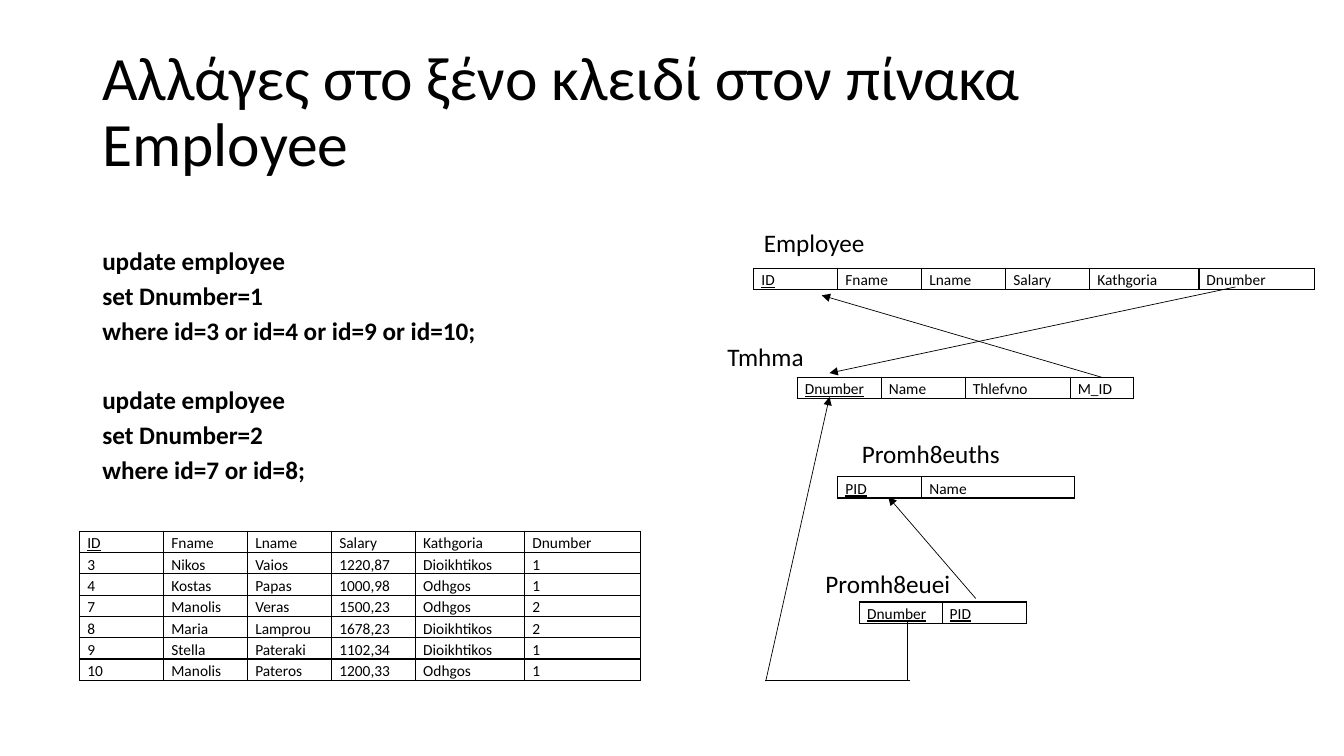
import pptx
import pptx.dml.color
import pptx.enum.shapes
import pptx.enum.text
import pptx.oxml
import pptx.oxml.ns
import pptx.util

Pt = pptx.util.Pt
FONT = "Calibri"
INK = "000000"
FIELDS = ["ID", "Fname", "Lname", "Salary", "Kathgoria", "Dnumber"]
WIDTHS = [60, 60, 60, 60, 78, 82.5]
STAFF = [
    ["3", "Nikos", "Vaios", "1220,87", "Dioikhtikos", "1"],
    ["4", "Kostas", "Papas", "1000,98", "Odhgos", "1"],
    ["7", "Manolis", "Veras", "1500,23", "Odhgos", "2"],
    ["8", "Maria", "Lamprou", "1678,23", "Dioikhtikos", "2"],
    ["9", "Stella", "Pateraki", "1102,34", "Dioikhtikos", "1"],
    ["10", "Manolis", "Pateros", "1200,33", "Odhgos", "1"],
]
CODE = [
    ["update employee", "set Dnumber=1", "where id=3 or id=4 or id=9 or id=10;"],
    ["update employee", "set Dnumber=2", "where id=7 or id=8;"],
]
# name, label place, label width, table place, widths, fields, number of key fields
SCHEMA = [
    ("Employee", (26.5, 0.5), 88, (26.5, 33.5), WIDTHS, FIELDS, 1),
    ("Tmhma", (0.5, 82.5), 71, (57.5, 111.5), [60, 60, 75, 45],
     ["Dnumber", "Name", "Thlefvno", "M_ID"], 1),
    ("Promh8euths", (96.5, 151.5), 116, (86.5, 182.5), [60, 109],
     ["PID", "Name"], 1),
    ("Promh8euei", (70.5, 244.5), 106, (102, 272), [59, 60],
     ["Dnumber", "PID"], 2),
]
# start, end, arrowhead at the end
LINKS = [
    ((185, 269.5), (122.5, 197), True),
    ((136, 286.5), (136, 328.5), False),
    ((138, 328), (34.5, 328), False),
    ((35, 328.5), (80.5, 125.5), True),
    ((275, 111.5), (75, 53), True),
    ((370.5, 47), (80.5, 108.5), True),
]


def tint(code):
    """Turn a hex string into a colour."""
    return pptx.dml.color.RGBColor.from_string(code)


def style(para, size, bold=False, line=None):
    """Set the font and line spacing of a paragraph."""
    para.font.name, para.font.size, para.font.bold = FONT, Pt(size), bold
    para.font.color.rgb = tint(INK)
    if line:
        para.line_spacing = line


def frame(slide, box, wrap=True):
    """Add a text box and return its text frame."""
    text = slide.shapes.add_textbox(*map(Pt, box)).text_frame
    text.word_wrap = wrap
    return text


def edge(cell):
    """Draw thin lines on all four sides of a cell."""
    tag = pptx.oxml.ns.nsdecls("a")
    for side in "LRTB":
        cell._tc.get_or_add_tcPr().append(pptx.oxml.parse_xml(
            f'<a:ln{side} {tag} w="12700"><a:solidFill><a:srgbClr val="{INK}"/>'
            f'</a:solidFill></a:ln{side}>'))


def grid(slide, left, top, widths, rows, keys):
    """Add a plain ruled table whose first key fields are underlined."""
    high = 14.3
    table = slide.shapes.add_table(
        len(rows), len(widths), Pt(left), Pt(top),
        Pt(sum(widths)), Pt(high * len(rows))).table
    table.first_row = table.horz_banding = False
    for col, wide in zip(table.columns, widths):
        col.width = Pt(wide)
    for r, row in enumerate(rows):
        table.rows[r].height = Pt(high)
        for c, word in enumerate(row):
            cell = table.cell(r, c)
            cell.margin_left = cell.margin_right = Pt(5.4)
            cell.margin_top = cell.margin_bottom = 0
            edge(cell)
            cell.fill.background()
            para = cell.text_frame.paragraphs[0]
            para.text = word
            style(para, 11, line=1.15)
            para.space_after = Pt(10)
            para.font.underline = r == 0 and c < keys


def link(slide, start, end, head):
    """Draw a thin line, with an arrowhead at its end if asked."""
    line = slide.shapes.add_connector(
        pptx.enum.shapes.MSO_CONNECTOR.STRAIGHT, *map(Pt, start + end))
    line.line.color.rgb = tint(INK)
    line.line.width = Pt(0.5)
    tag = pptx.oxml.ns.nsdecls("a")
    props = line._element.spPr
    if head:
        props.find(pptx.oxml.ns.qn("a:ln")).append(
            pptx.oxml.parse_xml(f'<a:tailEnd {tag} type="triangle"/>'))
    props.append(pptx.oxml.parse_xml(f"<a:effectLst {tag}/>"))


def title(slide, box):
    """Write the slide title."""
    text = frame(slide, box)
    text.vertical_anchor = pptx.enum.text.MSO_ANCHOR.MIDDLE
    text.text = "Αλλάγες στο ξένο κλειδί στον πίνακα Employee"
    style(text.paragraphs[0], 44, line=0.9)


def code(slide, box):
    """Write the update statements, with a gap between them."""
    text = frame(slide, box)
    para = text.paragraphs[0]
    for b, block in enumerate(CODE):
        for n, line in enumerate(block):
            if b or n:
                para = text.add_paragraph()
            para.text = line
            style(para, 18, True, 1.15)
            para.space_before = Pt(25 if b and not n else 0)


def schema(slide, left, top):
    """Draw the named relations and the links between their keys."""
    def shift(spot):
        """Move a spot by the corner of the region."""
        return left + spot[0], top + spot[1]

    for name, label, wide, spot, widths, fields, keys in SCHEMA:
        grid(slide, *shift(spot), widths, [fields], keys)
        text = frame(slide, (*shift(label), wide, 29), False)
        text.text = name
        style(text.paragraphs[0], 18)
    for start, end, head in LINKS:
        link(slide, shift(start), shift(end), head)


def main():
    """Build and save the slide."""
    deck = pptx.Presentation()
    deck.slide_width, deck.slide_height = Pt(960), Pt(540)
    slide = deck.slides.add_slide(deck.slide_layouts[6])
    title(slide, (66, 29, 828, 104))
    code(slide, (66, 168.5, 518, 190))
    schema(slide, 512, 158)
    grid(slide, 57, 379.5, WIDTHS, [FIELDS] + STAFF, 1)
    deck.save("out.pptx")


if __name__ == "__main__":
    main()
